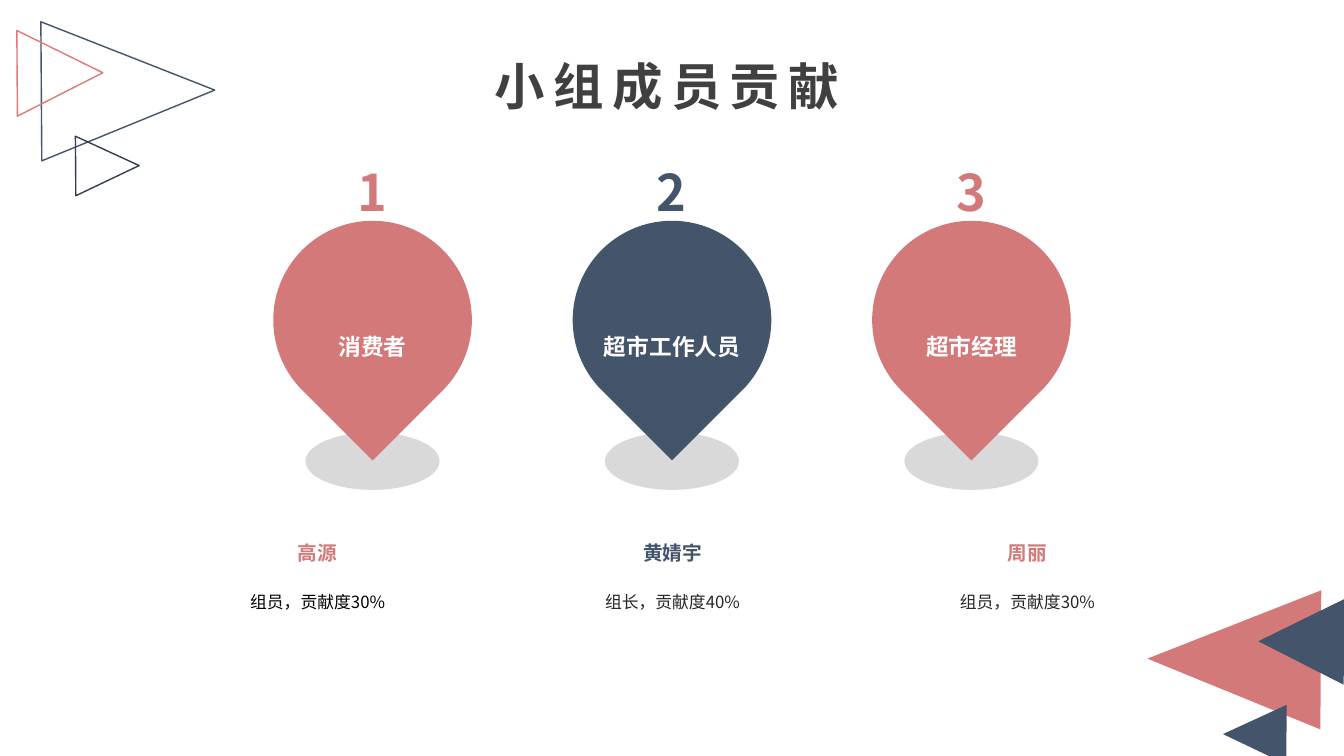
from pptx import Presentation
from pptx.dml.color import RGBColor
from pptx.enum.shapes import MSO_SHAPE
from pptx.enum.text import MSO_ANCHOR, PP_ALIGN
from pptx.oxml.ns import qn
from pptx.util import Inches, Pt
from lxml import etree

TRIANGLE = MSO_SHAPE.ISOSCELES_TRIANGLE
TEARDROP = MSO_SHAPE.TEAR
OVAL = MSO_SHAPE.OVAL
CENTER = PP_ALIGN.CENTER
TOP, MIDDLE = MSO_ANCHOR.TOP, MSO_ANCHOR.MIDDLE

FONT = "Noto Sans CJK SC"
COLORS = {
    "rose": "D37979",
    "rose_line": "DD7979",
    "navy": "44546A",
    "dark_navy": "333F50",
    "shadow": "D9D9D9",
    "title": "404040",
    "body": "262626",
    "black": "000000",
    "white": "FFFFFF",
}
TRIANGLE_SIZES = {"large": (1.38, 1.72), "small": (0.59, 0.63), "medium": (0.85, 0.85)}
PIN_WIDTH, PIN_PITCH = 1.97, 2.97
CAPTION_WIDTH, CAPTION_PITCH = 2.42, 3.52
MEMBERS = [
    ("消费者", "高源", "组员，贡献度30%", "rose", "black"),
    ("超市工作人员", "黄婧宇", "组长，贡献度40%", "navy", "body"),
    ("超市经理", "周丽", "组员，贡献度30%", "rose", "body"),
]


def color(name):
    return RGBColor.from_string(COLORS[name])


def add_figure(slide, kind, box, fill=None, line=None, rotation=0):
    shape = slide.shapes.add_shape(kind, *map(Inches, box))
    shape.shadow.inherit = False
    shape.rotation = rotation
    if fill:
        shape.fill.solid()
        shape.fill.fore_color.rgb = color(fill)
    else:
        shape.fill.background()
    if line:
        shape.line.color.rgb = color(line)
        shape.line.width = Pt(1)
    else:
        shape.line.fill.background()


def add_text(slide, box, text, size, text_color, bold=True, wrap=False,
             anchor=MIDDLE, inset=True, line_spacing=None, letter_spacing=None):
    shape = slide.shapes.add_textbox(*map(Inches, box))
    frame = shape.text_frame
    frame.word_wrap = wrap
    frame.vertical_anchor = anchor
    if not inset:
        frame.margin_left = frame.margin_right = 0
        frame.margin_top = frame.margin_bottom = 0
    paragraph = frame.paragraphs[0]
    paragraph.alignment = CENTER
    if line_spacing:
        paragraph.line_spacing = line_spacing
    run = paragraph.add_run()
    run.text = text
    run.font.size = Pt(size)
    run.font.bold = bold
    run.font.name = FONT
    run.font.color.rgb = color(text_color)
    properties = run.font._element
    etree.SubElement(properties, qn("a:ea")).set("typeface", FONT)
    if letter_spacing:
        properties.set("spc", str(letter_spacing * 100))


def add_triangles(slide, left, top, rotation, triangles):
    for size, x, y, fill, line in triangles:
        box = (left + x, top + y, *TRIANGLE_SIZES[size])
        add_figure(slide, TRIANGLE, box, fill, line, rotation)


def add_pin(slide, left, top, number, role, pin_color):
    center = left + PIN_WIDTH / 2
    add_figure(slide, OVAL, (center - 0.665, top + 2.1, 1.33, 0.57), "shadow")
    add_figure(slide, TEARDROP, (left, top, PIN_WIDTH, PIN_WIDTH), pin_color, rotation=135)
    add_text(slide, (center - 0.825, top + 1.11, 1.65, 0.27), role, 16.2, "white", inset=False)
    add_text(slide, (center - 0.25, top - 0.64, 0.48, 0.71), str(number), 36, pin_color, anchor=TOP)


def add_caption(slide, left, top, name, contribution, name_color, body_color):
    add_text(slide, (left, top, CAPTION_WIDTH, 0.31), name, 14, name_color, inset=False)
    add_text(slide, (left, top + 0.31, CAPTION_WIDTH, 0.63), contribution, 12, body_color,
             bold=False, wrap=True, inset=False, line_spacing=1.2)


def add_title(slide, left, top, width, height):
    add_text(slide, (left, top, width, height), "小组成员贡献", 36, "title",
             wrap=True, inset=False, letter_spacing=6)


def main():
    presentation = Presentation()
    presentation.slide_width = Inches(13.33)
    presentation.slide_height = Inches(7.5)
    slide = presentation.slides.add_slide(presentation.slide_layouts[6])
    slide.background.fill.solid()
    slide.background.fill.fore_color.rgb = color("white")

    add_triangles(slide, 11.55, 5.68, 270.4, [
        ("large", 0, 0, "rose", None),
        ("small", 0.6, 1.29, "navy", None),
        ("medium", 0.93, 0.26, "navy", None),
    ])
    add_triangles(slide, 0.17, 0.04, 89.6, [
        ("large", 0.41, 0, None, "navy"),
        ("small", 0.6, 1.29, None, "dark_navy"),
        ("medium", 0, 0.26, None, "rose_line"),
    ])
    for index, (role, name, contribution, accent, body) in enumerate(MEMBERS):
        add_pin(slide, 2.71 + index * PIN_PITCH, 2.19, index + 1, role, accent)
        add_caption(slide, 1.94 + index * CAPTION_PITCH, 5.33, name, contribution, accent, body)
    add_title(slide, 4.57, 0.54, 4.09, 0.61)
    presentation.save("out.pptx")


if __name__ == "__main__":
    main()
